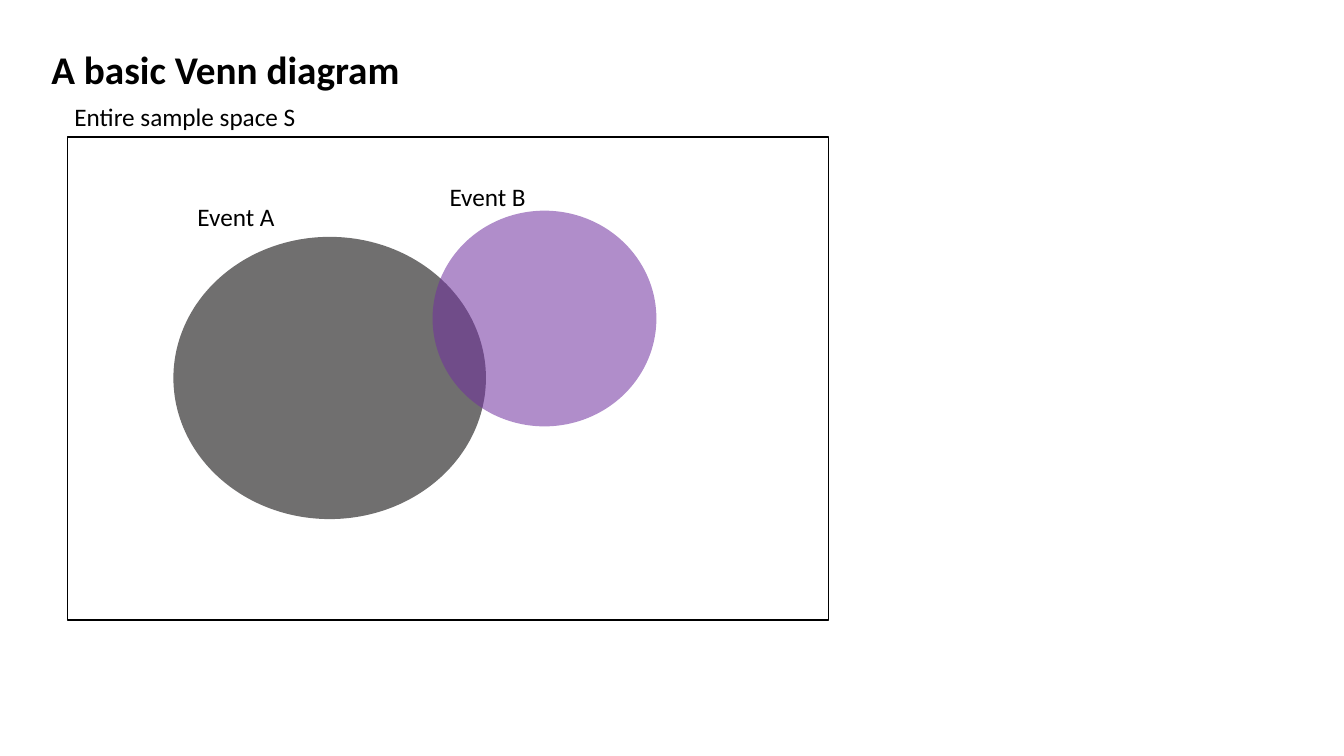
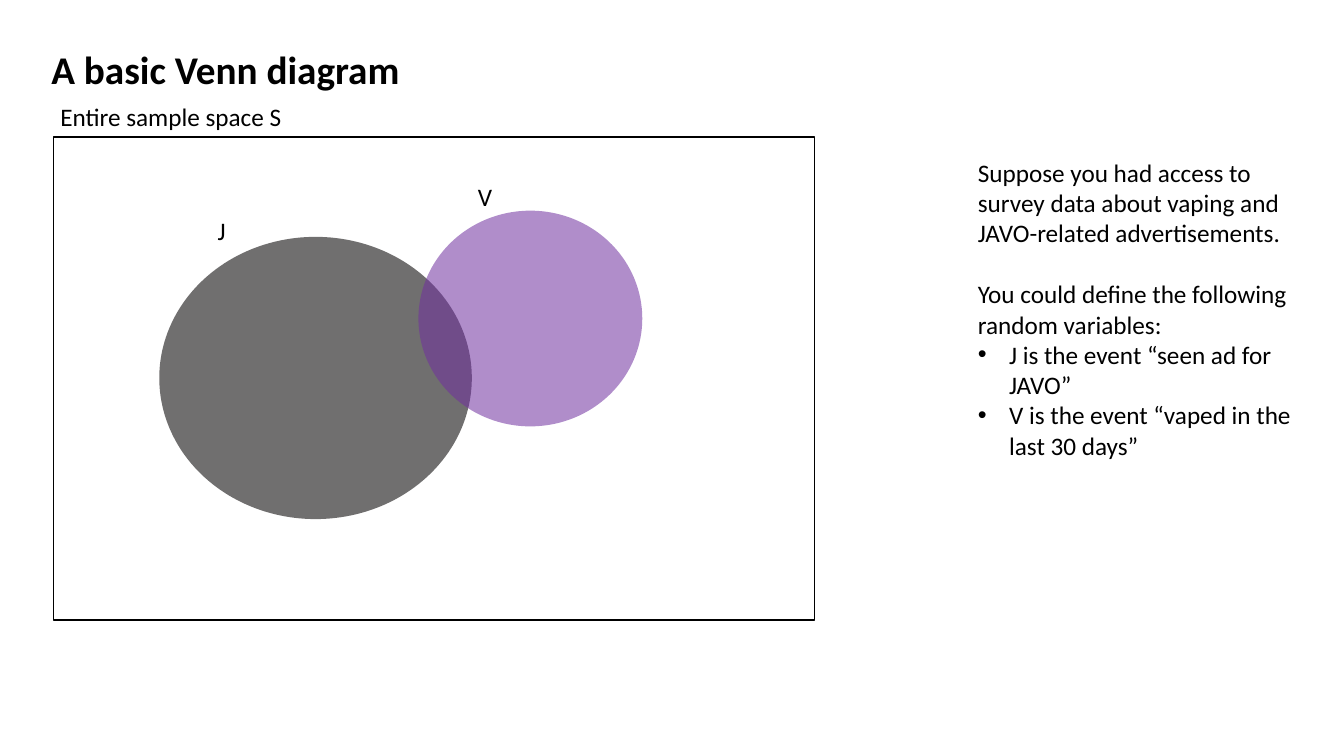
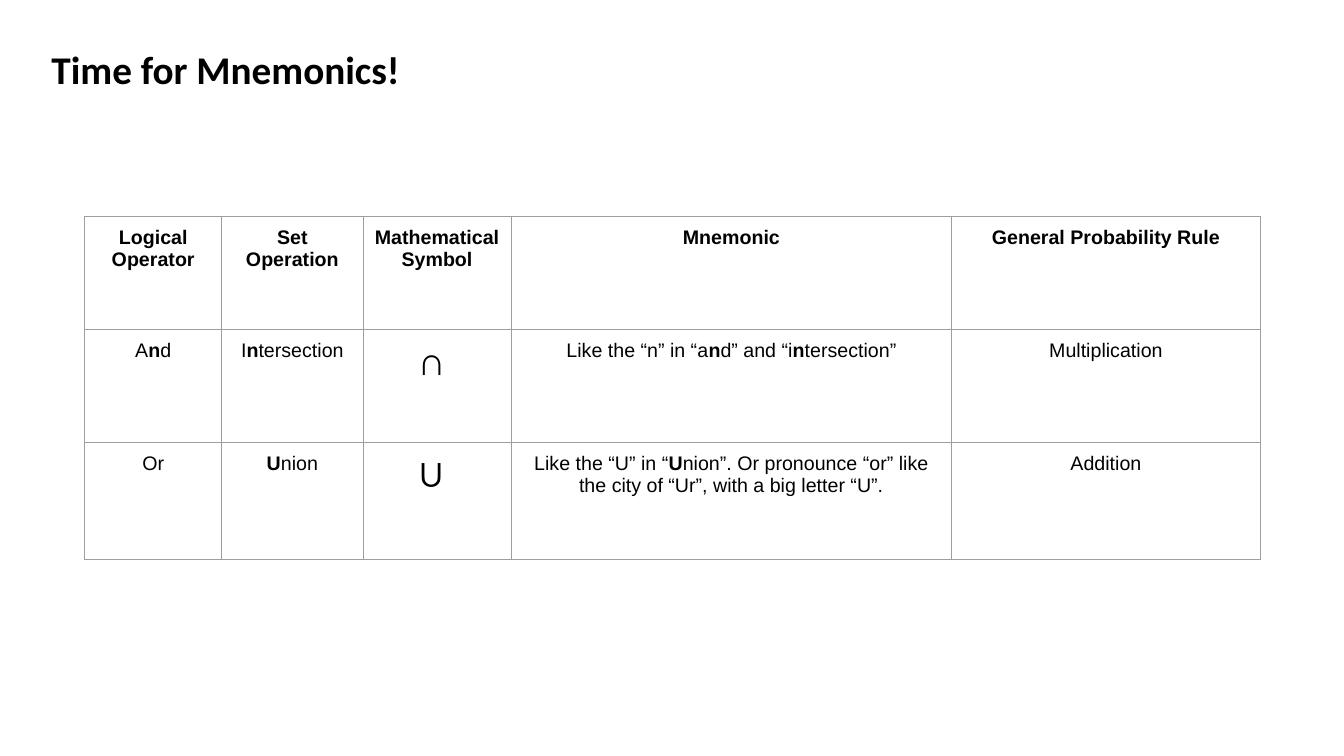
from lxml.etree import SubElement
from pptx import Presentation
from pptx.dml.color import RGBColor
from pptx.enum.shapes import MSO_SHAPE as Preset
from pptx.enum.text import MSO_ANCHOR as Anchor, PP_ALIGN as Align
from pptx.oxml.ns import qn
from pptx.util import Inches, Pt

# Shared look
BLACK, CHARCOAL, PURPLE, GREY = "000000", "3A3838", "7030A0", "9E9E9E"
BODY_FONT, TABLE_FONT = "Calibri", "Arial"
TITLE_SIZE, BODY_SIZE, TABLE_SIZE, SYMBOL_SIZE = 28, 18, 14, 28

SAMPLE_SPACE = "Entire sample space S"
COLUMN_WIDTHS = [1.36, 1.4, 1.47, 4.37, 3.06]
ROW_HEIGHTS = [1.12, 1.12, 1.16]
# Asterisks enclose the bold letters
MNEMONICS = [
    ["*Logical Operator*", "*Set Operation*", "*Mathematical Symbol*",
     "*Mnemonic*", "*General Probability Rule*"],
    ["A*n*d", "I*n*tersection", "∩ ",
     "Like the “n” in “a*n*d” and “i*n*tersection”", "Multiplication"],
    ["Or", "*U*nion", "∪ ",
     "Like the “U” in “*U*nion”. Or pronounce “or” like the city of “Ur”, "
     "with a big letter “U”.", "Addition"],
]


def color(value):
    return RGBColor.from_string(value)


def format_run(run, size, font=BODY_FONT, bold=False):
    run.font.size = Pt(size)
    run.font.name = font
    run.font.bold = bold
    run.font.color.rgb = color(BLACK)


def add_titled_slide(presentation, text):
    slide = presentation.slides.add_slide(presentation.slide_layouts[5])
    title = slide.shapes.title
    title.left, title.top = Inches(0.41), Inches(0.4)
    title.width, title.height = Inches(5), Inches(0.57)
    frame = title.text_frame
    frame.text = text
    frame.vertical_anchor = Anchor.TOP
    paragraph = frame.paragraphs[0]
    paragraph.alignment = Align.LEFT
    format_run(paragraph.runs[0], TITLE_SIZE, bold=True)
    return slide


def add_text(slide, text, left, top, width, height=0.4):
    box = slide.shapes.add_textbox(
        Inches(left), Inches(top), Inches(width), Inches(height))
    frame = box.text_frame
    frame.word_wrap = True
    frame.text = text
    for paragraph in frame.paragraphs:
        format_run(paragraph.runs[0], BODY_SIZE)
    return frame.paragraphs


def add_bullet(paragraph):
    properties = paragraph._p.get_or_add_pPr()
    properties.set("marL", str(Inches(0.31)))
    properties.set("indent", str(-Inches(0.31)))
    SubElement(properties, qn("a:buFont"), typeface=TABLE_FONT)
    SubElement(properties, qn("a:buChar"), char="•")


def add_outline(slide, preset, left, top, width, height):
    shape = slide.shapes.add_shape(
        preset, Inches(left), Inches(top), Inches(width), Inches(height))
    shape.shadow.inherit = False
    return shape


def add_event(slide, left, top, width, height, fill, opacity):
    ellipse = add_outline(slide, Preset.OVAL, left, top, width, height)
    ellipse.fill.solid()
    ellipse.fill.fore_color.rgb = color(fill)
    ellipse.line.fill.background()
    fill_color = ellipse._element.spPr.find(
        f"{qn('a:solidFill')}/{qn('a:srgbClr')}")
    SubElement(fill_color, qn("a:alpha"), val=str(opacity * 1000))


def add_venn(slide, left, labels):
    """Draw the sample space at left, with (text, left, top) event labels."""
    add_event(slide, left + 1.05, 2.35, 3.1, 2.8, CHARCOAL, 72)
    add_event(slide, left + 3.62, 2.09, 2.22, 2.14, PURPLE, 55)
    space = add_outline(slide, Preset.RECTANGLE, left, 1.36, 7.55, 4.79)
    space.fill.background()
    space.line.color.rgb = color(BLACK)
    space.line.width = Pt(1)
    add_text(slide, SAMPLE_SPACE, left - 0.03, 0.96, 3.33)
    for text, label_left, label_top in labels:
        add_text(slide, text, label_left, label_top, 1.19)


def add_borders(cell):
    properties = cell._tc.get_or_add_tcPr()
    for position, side in enumerate(("a:lnL", "a:lnR", "a:lnT", "a:lnB")):
        line = properties.makeelement(qn(side), {"w": str(Pt(0.75))})
        properties.insert(position, line)
        fill = SubElement(line, qn("a:solidFill"))
        SubElement(fill, qn("a:srgbClr"), val=GREY)


def fill_cell(cell, marked_text):
    cell.margin_left = cell.margin_right = Inches(0.1)
    cell.margin_top = cell.margin_bottom = Inches(0.1)
    cell.fill.background()
    add_borders(cell)
    paragraph = cell.text_frame.paragraphs[0]
    paragraph.alignment = Align.CENTER
    size = SYMBOL_SIZE if marked_text[0] in "∩∪" else TABLE_SIZE
    for index, part in enumerate(marked_text.split("*")):
        if part:
            run = paragraph.add_run()
            run.text = part
            format_run(run, size, TABLE_FONT, bold=index % 2 == 1)


def add_grid(slide, rows, left, top):
    table = slide.shapes.add_table(
        len(rows), len(rows[0]), Inches(left), Inches(top),
        Inches(sum(COLUMN_WIDTHS)), Inches(sum(ROW_HEIGHTS))).table
    table.first_row = table.horz_banding = False
    for column, width in zip(table.columns, COLUMN_WIDTHS):
        column.width = Inches(width)
    for row, height, texts in zip(table.rows, ROW_HEIGHTS, rows):
        row.height = Inches(height)
        for cell, text in zip(row.cells, texts):
            fill_cell(cell, text)


def main():
    presentation = Presentation()
    presentation.slide_width = Inches(13.33)
    presentation.slide_height = Inches(7.5)

    # General events
    slide = add_titled_slide(presentation, "A basic Venn diagram")
    add_venn(slide, 0.67, [("Event A", 1.86, 1.95), ("Event B", 4.36, 1.75)])

    # Survey example
    slide = add_titled_slide(presentation, "A basic Venn diagram")
    add_venn(slide, 0.53, [("J", 2.06, 2.09), ("V", 4.64, 1.75)])
    paragraphs = add_text(slide, "\n".join([
        "Suppose you had access to survey data about vaping and "
        "JAVO-related advertisements.",
        "You could define the following random variables:",
        "J is the event “seen ad for JAVO”",
        "V is the event “vaped in the last 30 days”",
    ]), 9.6, 1.51, 3.45, 3.13)
    paragraphs[0].space_after = Pt(22)
    for paragraph in paragraphs[2:]:
        add_bullet(paragraph)

    # Mnemonics table
    slide = add_titled_slide(presentation, "Time for Mnemonics!")
    add_grid(slide, MNEMONICS, 0.84, 2.15)

    presentation.save("out.pptx")


if __name__ == "__main__":
    main()
